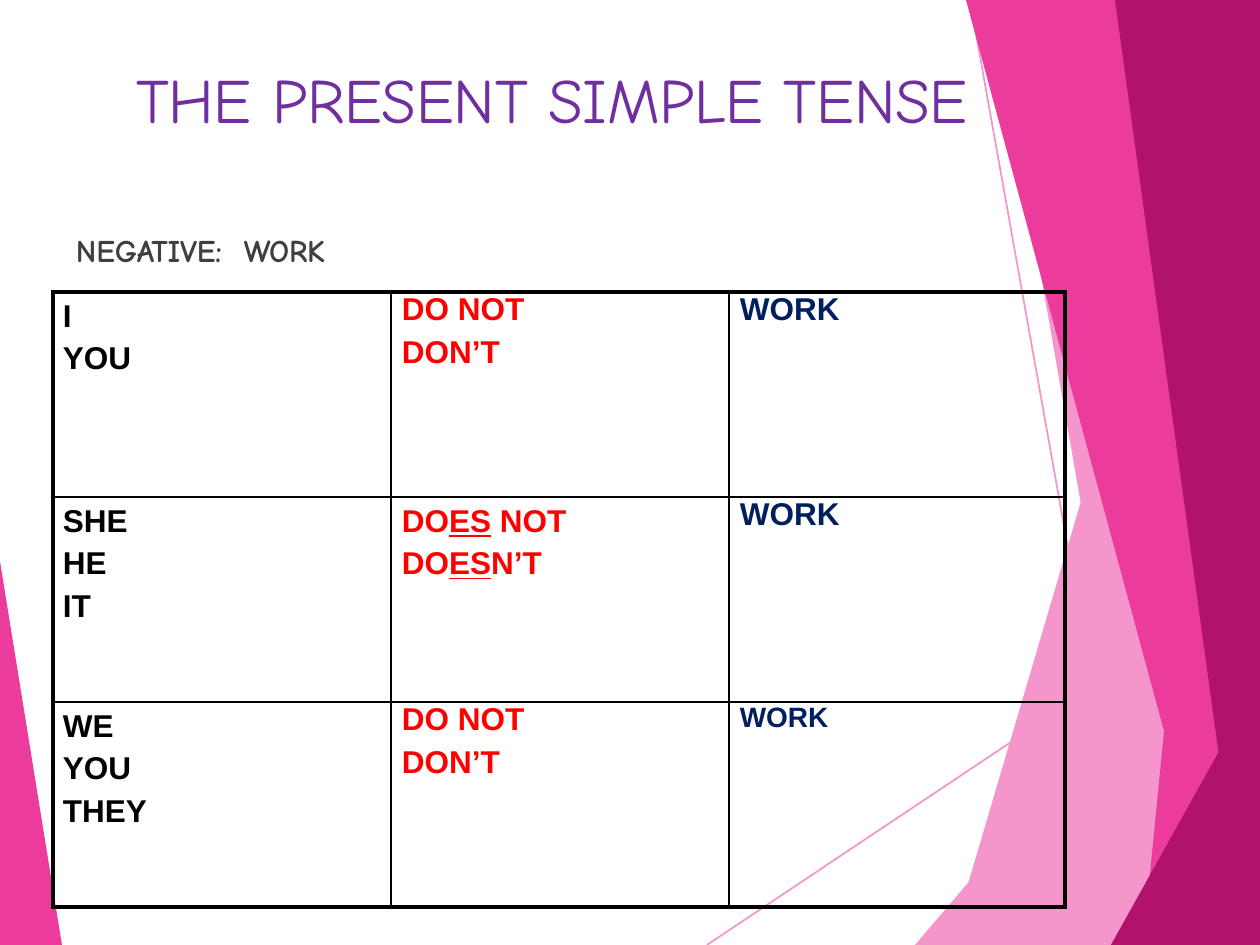
"""Build the slide on the negative form of the present simple tense."""
from lxml.etree import SubElement
from pptx import Presentation
from pptx.dml.color import RGBColor
from pptx.enum.shapes import MSO_CONNECTOR
from pptx.oxml import parse_xml
from pptx.oxml.ns import nsdecls, qn
from pptx.util import Pt

PX = 7257.14
WIDTH, HEIGHT = 1260, 945
LIGHT, PINK, DARK = "F495CB", "EB3C9E", "B1126C"
RAYS = [((707, 945), (1260, 576)), ((970, 0), (1139, 945))]
RIBBONS = [
    (LIGHT, [(1229, 0), (950, 945), (1260, 945), (1260, 0)]),
    (LIGHT, [(993, 0), (1158, 945), (1260, 945), (1260, 0)]),
    (LIGHT, [(1260, 541), (915, 945), (1260, 945)]),
    (PINK, [(966, 0), (1222, 945), (1260, 945), (1260, 0)]),
    (PINK, [(1236, 0), (1143, 945), (1260, 945), (1260, 0)]),
    (DARK, [(1115, 0), (1245, 945), (1260, 945), (1260, 0)]),
    (DARK, [(1260, 678), (1111, 945), (1260, 945)]),
    (PINK, [(0, 561), (0, 945), (62, 945)]),
]
HEADINGS = [
    ("THE PRESENT SIMPLE TENSE", (74, 60, 1113, 158), 62, 36, False, "6F2F9F", -20),
    ("NEGATIVE:  WORK", (74, 231, 297, 35), 2, 18, True, "3F3F3F", -10),
]
TABLE_LEFT, TABLE_TOP = 53, 292
COLUMNS, ROWS = [338, 338, 336], [205, 205, 205]
COLUMN_COLOURS, COLUMN_INSETS = ["000000", "FF0000", "001F5F"], [10, 11, 11]
# Underscores enclose underlined letters
CELLS = [
    [["I", "YOU"], ["DO NOT", "DON’T"], ["WORK"]],
    [["SHE", "HE", "IT"], ["DO_ES_ NOT", "DO_ES_N’T"], ["WORK"]],
    [["WE", "YOU", "THEY"], ["DO NOT", "DON’T"], ["WORK"]],
]
WIDE_SPACED = [(0, 0), (1, 0), (2, 0), (1, 1)]
SMALL = [(2, 2)]


def px(value):
    return round(value * PX)


def colour(text):
    return RGBColor.from_string(text)


def style(span, face, size, bold, shade):
    span.font.name, span.font.size, span.font.bold = face, Pt(size), bold
    span.font.color.rgb = colour(shade)


def add_ray(page, start, end):
    ray = page.shapes.add_connector(MSO_CONNECTOR.STRAIGHT, *map(px, start + end))
    ray.line.color.rgb, ray.line.width = colour(LIGHT), Pt(1)
    SubElement(ray._element.spPr, qn("a:effectLst"))


def add_ribbon(page, shade, points):
    builder = page.shapes.build_freeform(*points[0], scale=PX)
    builder.add_line_segments(points[1:], close=True)
    ribbon = builder.convert_to_shape()
    ribbon.shadow.inherit = False
    ribbon.fill.solid()
    ribbon.fill.fore_color.rgb = colour(shade)
    ribbon.line.fill.background()


def add_heading(page, text, place, inset, size, bold, shade, spacing):
    frame = page.shapes.add_textbox(*map(px, place)).text_frame
    frame.word_wrap = True
    frame.margin_left = px(inset)
    frame.margin_top = frame.margin_right = frame.margin_bottom = 0
    frame.text = text
    span = frame.paragraphs[0].runs[0]
    style(span, "Comic Neue", size, bold, shade)
    span.font._element.set("spc", str(spacing))


def set_borders(cell, row, column):
    outer = {"L": column == 0, "R": column == len(COLUMNS) - 1,
             "T": row == 0, "B": row == len(ROWS) - 1}
    properties = cell._tc.get_or_add_tcPr()
    for index, (side, thick) in enumerate(outer.items()):
        width = Pt(2.25 if thick else 1)
        properties.insert(index, parse_xml(
            f'<a:ln{side} {nsdecls("a")} w="{width}"><a:solidFill>'
            f'<a:srgbClr val="000000"/></a:solidFill></a:ln{side}>'))


def fill_cell(cell, row, column):
    cell.fill.background()
    cell.margin_left = px(COLUMN_INSETS[column])
    cell.margin_top = cell.margin_right = cell.margin_bottom = 0
    set_borders(cell, row, column)
    size = 16 if (row, column) in SMALL else 18
    wide = (row, column) in WIDE_SPACED
    frame = cell.text_frame
    for number, line in enumerate(CELLS[row][column]):
        para = frame.add_paragraph() if number else frame.paragraphs[0]
        if wide:
            para.line_spacing = 1.2
        elif number:
            para.space_before = Pt(4.3)
        for part, text in enumerate(line.split("_")):
            span = para.add_run()
            span.text = text
            style(span, "Arial", size, True, COLUMN_COLOURS[column])
            span.font.underline = part % 2 == 1


def add_verb_table(page):
    place = TABLE_LEFT, TABLE_TOP, sum(COLUMNS), sum(ROWS)
    table = page.shapes.add_table(len(ROWS), len(COLUMNS), *map(px, place)).table
    table.first_row = table.horz_banding = False
    for column, width in enumerate(COLUMNS):
        table.columns[column].width = px(width)
    for row, height in enumerate(ROWS):
        table.rows[row].height = px(height)
        for column in range(len(COLUMNS)):
            fill_cell(table.cell(row, column), row, column)


def main():
    deck = Presentation()
    deck.slide_width, deck.slide_height = px(WIDTH), px(HEIGHT)
    page = deck.slides.add_slide(deck.slide_layouts[6])
    for start, end in RAYS:
        add_ray(page, start, end)
    for shade, points in RIBBONS:
        add_ribbon(page, shade, points)
    for heading in HEADINGS:
        add_heading(page, *heading)
    add_verb_table(page)
    deck.save("out.pptx")


if __name__ == "__main__":
    main()
